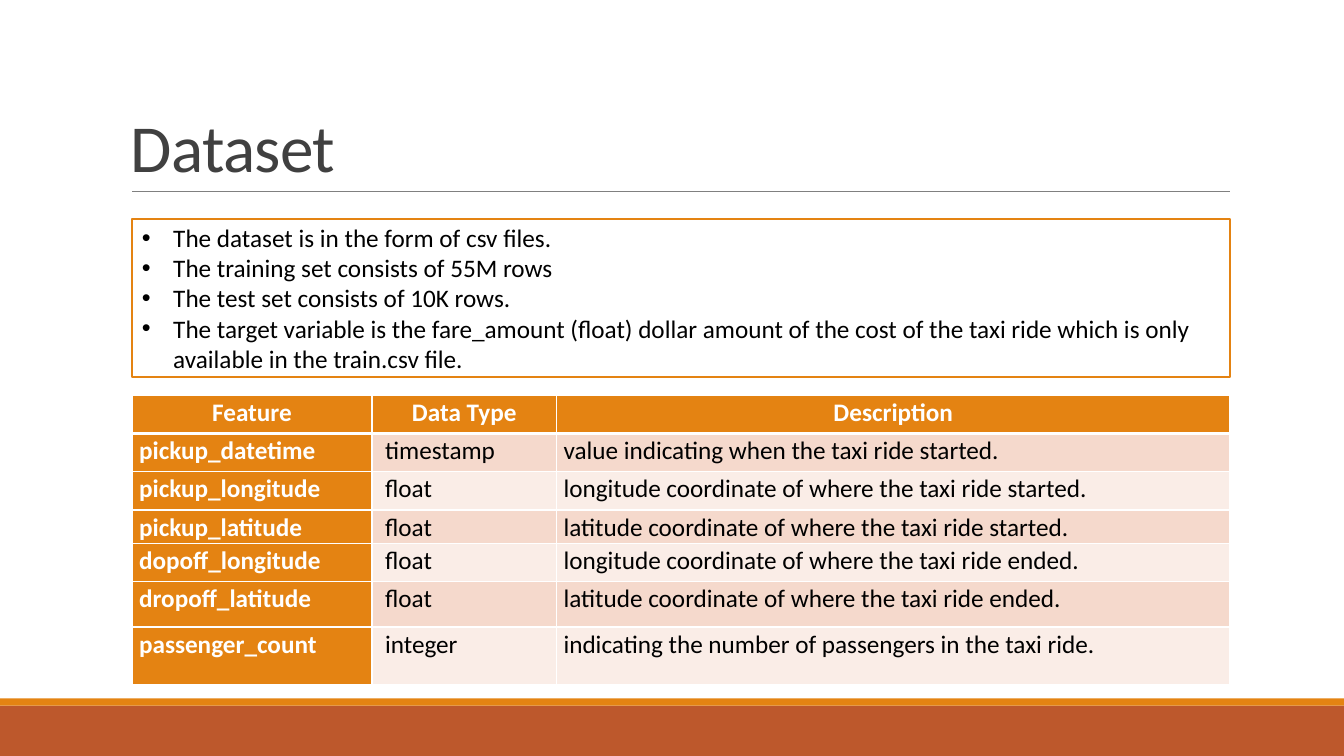
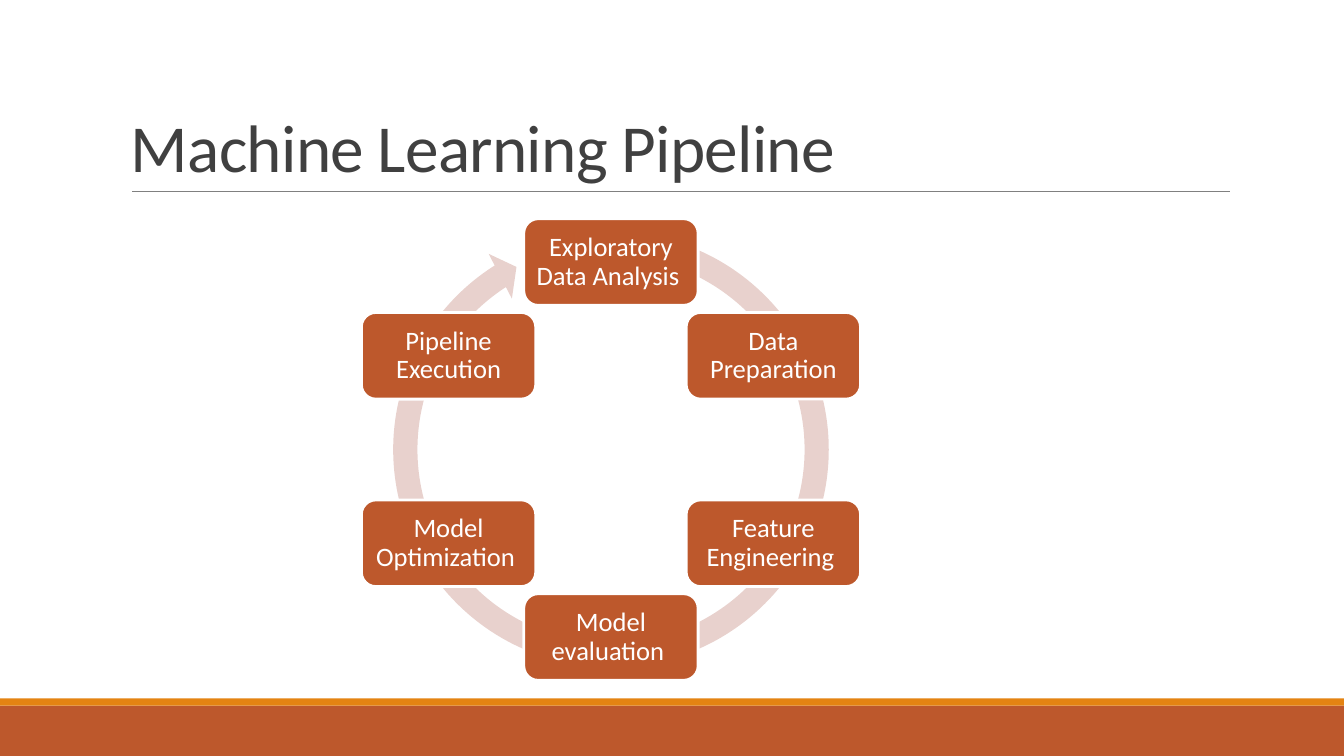
from dataclasses import dataclass
from math import cos, radians, sin
from typing import NamedTuple, Optional

import pptx
from lxml import etree
from pptx import slide as sld
from pptx import util as u
from pptx.dml import color
from pptx.enum import shapes, text
from pptx.oxml import ns
from pptx.shapes import autoshape
from pptx.table import _Cell as Cell
from pptx.text import text as body


@dataclass(frozen=True)
class Theme:
    font: str = "Calibri"
    rust: str = "BD582C"
    orange: str = "E48312"
    white: str = "FFFFFF"
    black: str = "000000"
    heading: str = "404040"
    rule: str = "808080"
    ring: str = "E8D1CD"
    row_tints: tuple[str, str] = ("F5D9CC", "FAEDE7")
    title_size: float = 48
    body_size: float = 18
    node_size: float = 19


class Box(NamedTuple):
    left: float
    top: float
    width: float
    height: float

    def lengths(self) -> list[u.Length]:
        return [u.Inches(value) for value in self]


class Band(NamedTuple):
    box: Box
    fill: str


class Feature(NamedTuple):
    name: str
    data_type: str
    description: str
    height: float


THEME = Theme()
SLIDE_WIDTH, SLIDE_HEIGHT = 13.33, 7.5
LEFT, CONTENT_WIDTH = 1.31, 10.89
RULE_TOP = 1.9

BANDS = [
    Band(Box(0, 7, SLIDE_WIDTH, 0.5), THEME.rust),
    Band(Box(0, 6.93, SLIDE_WIDTH, 0.07), THEME.orange),
]

FACTS = [
    "The dataset is in the form of csv files.",
    "The training set consists of 55M rows",
    "The test set consists of 10K rows.",
    "The target variable is the fare_amount (float) dollar amount of the cost "
    "of the taxi ride which is only available in the train.csv file.",
]

FEATURES = [
    Feature("Feature", "Data Type", "Description", 0.38),
    Feature("pickup_datetime", "timestamp",
            "value indicating when the taxi ride started.", 0.38),
    Feature("pickup_longitude", "float",
            "longitude coordinate of where the taxi ride started.", 0.38),
    Feature("pickup_latitude", "float",
            "latitude coordinate of where the taxi ride started.", 0.33),
    Feature("dopoff_longitude", "float",
            "longitude coordinate of where the taxi ride ended.", 0.38),
    Feature("dropoff_latitude", "float",
            "latitude coordinate of where the taxi ride ended.", 0.45),
    Feature("passenger_count", "integer",
            "indicating the number of passengers in the taxi ride.", 0.57),
]
COLUMN_WIDTHS = [2.38, 1.83, 6.68]
COLUMN_INSETS = [0.07, 0.13, 0.07]

STAGES = [
    "Exploratory Data Analysis ",
    "Data Preparation",
    "Feature Engineering ",
    "Model evaluation ",
    "Model Optimization ",
    "Pipeline Execution",
]


def rgb(code: str) -> color.RGBColor:
    return color.RGBColor.from_string(code)


def add_bullet(paragraph: body._Paragraph, indent: float) -> None:
    properties = paragraph._p.get_or_add_pPr()
    properties.set("marL", str(u.Inches(indent)))
    properties.set("indent", str(-u.Inches(indent)))
    etree.SubElement(properties, ns.qn("a:buFont"), typeface="Arial")
    etree.SubElement(properties, ns.qn("a:buChar"), char="•")


def write(
    frame: body.TextFrame,
    lines: list[str],
    *,
    size: float = THEME.body_size,
    fill: str = THEME.black,
    bold: bool = False,
    align: text.PP_ALIGN = text.PP_ALIGN.LEFT,
    anchor: text.MSO_ANCHOR = text.MSO_ANCHOR.MIDDLE,
    spacing: float = 1.0,
    tracking: Optional[int] = None,
    bullet_indent: Optional[float] = None,
) -> None:
    frame.word_wrap = True
    frame.vertical_anchor = anchor
    for index, line in enumerate(lines):
        paragraph = frame.add_paragraph() if index else frame.paragraphs[0]
        paragraph.alignment = align
        paragraph.line_spacing = spacing
        if bullet_indent is not None:
            add_bullet(paragraph, bullet_indent)
        run = paragraph.add_run()
        run.text = line
        run.font.name = THEME.font
        run.font.size = u.Pt(size)
        run.font.bold = bold
        run.font.color.rgb = rgb(fill)
        if tracking is not None:
            run._r.get_or_add_rPr().set("spc", str(tracking))


def add_block(
    slide: sld.Slide,
    kind: shapes.MSO_SHAPE,
    box: Box,
    fill: str,
    outline: Optional[str] = None,
    outline_width: float = 1,
) -> autoshape.Shape:
    block = slide.shapes.add_shape(kind, *box.lengths())
    block.shadow.inherit = False
    block.fill.solid()
    block.fill.fore_color.rgb = rgb(fill)
    if outline is None:
        block.line.fill.background()
    else:
        block.line.color.rgb = rgb(outline)
        block.line.width = u.Pt(outline_width)
    return block


def add_titled_slide(deck, title: str) -> sld.Slide:
    slide = deck.slides.add_slide(deck.slide_layouts[6])
    for band in BANDS:
        add_block(slide, shapes.MSO_SHAPE.RECTANGLE, band.box, band.fill)
    rule = slide.shapes.add_connector(
        shapes.MSO_CONNECTOR.STRAIGHT,
        u.Inches(LEFT), u.Inches(RULE_TOP),
        u.Inches(LEFT + CONTENT_WIDTH), u.Inches(RULE_TOP),
    )
    rule.line.color.rgb = rgb(THEME.rule)
    rule.line.width = u.Pt(0.5)
    etree.SubElement(rule._element.spPr, ns.qn("a:effectLst"))
    heading = slide.shapes.add_textbox(*Box(1.2, 0.31, 11, 1.59).lengths())
    write(heading.text_frame, [title], size=THEME.title_size,
          fill=THEME.heading, anchor=text.MSO_ANCHOR.BOTTOM,
          spacing=0.85, tracking=-50)
    return slide


def add_borders(cell: Cell, bottom_width: float) -> None:
    properties = cell._tc.get_or_add_tcPr()
    widths = {"lnL": 1, "lnR": 1, "lnT": 1, "lnB": bottom_width}
    for position, (side, width) in enumerate(widths.items()):
        border = etree.Element(ns.qn(f"a:{side}"), w=str(u.Pt(width)))
        solid = etree.SubElement(border, ns.qn("a:solidFill"))
        etree.SubElement(solid, ns.qn("a:srgbClr"), val=THEME.white)
        properties.insert(position, border)


def format_cell(cell: Cell, wording: str, row: int, column: int) -> None:
    is_header = row == 0
    is_label = is_header or column == 0
    cell.margin_left = u.Inches(COLUMN_INSETS[0 if is_header else column])
    cell.margin_right = u.Inches(COLUMN_INSETS[0])
    cell.margin_top = cell.margin_bottom = 0
    cell.fill.solid()
    cell.fill.fore_color.rgb = rgb(
        THEME.orange if is_label else THEME.row_tints[(row - 1) % 2])
    add_borders(cell, bottom_width=3 if is_header else 1)
    write(cell.text_frame, [wording], bold=is_label,
          fill=THEME.white if is_label else THEME.black,
          align=text.PP_ALIGN.CENTER if is_header else text.PP_ALIGN.LEFT,
          anchor=text.MSO_ANCHOR.TOP, spacing=1.07)


def add_feature_table(slide: sld.Slide) -> None:
    height = sum(feature.height for feature in FEATURES)
    features = slide.shapes.add_table(
        len(FEATURES), len(COLUMN_WIDTHS),
        *Box(LEFT, 3.92, CONTENT_WIDTH, height).lengths()).table
    features.horz_banding = False
    for column, width in enumerate(COLUMN_WIDTHS):
        features.columns[column].width = u.Inches(width)
    for row, feature in enumerate(FEATURES):
        features.rows[row].height = u.Inches(feature.height)
        for column, wording in enumerate(feature[:3]):
            format_cell(features.cell(row, column), wording, row, column)


def add_dataset_slide(deck) -> None:
    slide = add_titled_slide(deck, "Dataset")
    facts = add_block(slide, shapes.MSO_SHAPE.RECTANGLE,
                      Box(LEFT, 2.17, CONTENT_WIDTH, 1.57),
                      THEME.white, THEME.orange, 1.25)
    write(facts.text_frame, FACTS, bullet_indent=0.31)
    add_feature_table(slide)


def add_cycle(slide: sld.Slide, center_x: float, center_y: float) -> None:
    diameter, thickness, head = 4.58, 0.24, 0.25
    ring = add_block(
        slide, shapes.MSO_SHAPE.CIRCULAR_ARROW,
        Box(center_x - diameter / 2, center_y - diameter / 2,
            diameter, diameter), THEME.ring)
    settings = [thickness / diameter, 3.13, 142.46, 171.17, head / diameter]
    for index, setting in enumerate(settings):
        ring.adjustments[index] = setting

    radius, width, height = 1.86, 1.73, 0.86
    for index, stage in enumerate(STAGES):
        angle = radians(index * 360 / len(STAGES))
        node = add_block(
            slide, shapes.MSO_SHAPE.ROUNDED_RECTANGLE,
            Box(center_x + radius * sin(angle) - width / 2,
                center_y - radius * cos(angle) - height / 2, width, height),
            THEME.rust, THEME.white, 2)
        frame = node.text_frame
        frame.margin_left = frame.margin_right = u.Inches(0.08)
        frame.margin_top = frame.margin_bottom = u.Inches(0.08)
        write(frame, [stage], size=THEME.node_size, fill=THEME.white,
              align=text.PP_ALIGN.CENTER, spacing=0.9)


def add_pipeline_slide(deck) -> None:
    slide = add_titled_slide(deck, "Machine Learning Pipeline")
    add_cycle(slide, center_x=6.06, center_y=4.46)


def main() -> None:
    deck = pptx.Presentation()
    deck.slide_width = u.Inches(SLIDE_WIDTH)
    deck.slide_height = u.Inches(SLIDE_HEIGHT)
    add_dataset_slide(deck)
    add_pipeline_slide(deck)
    deck.save("out.pptx")


main()
